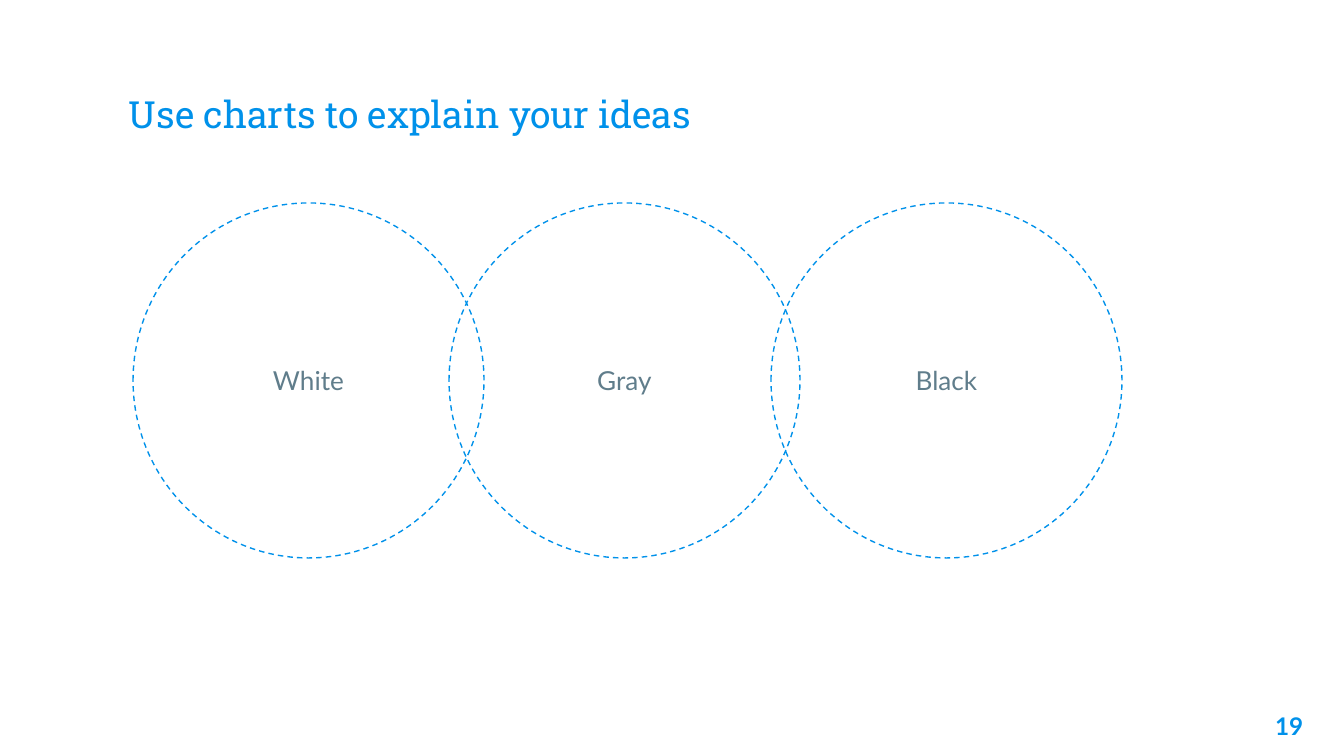
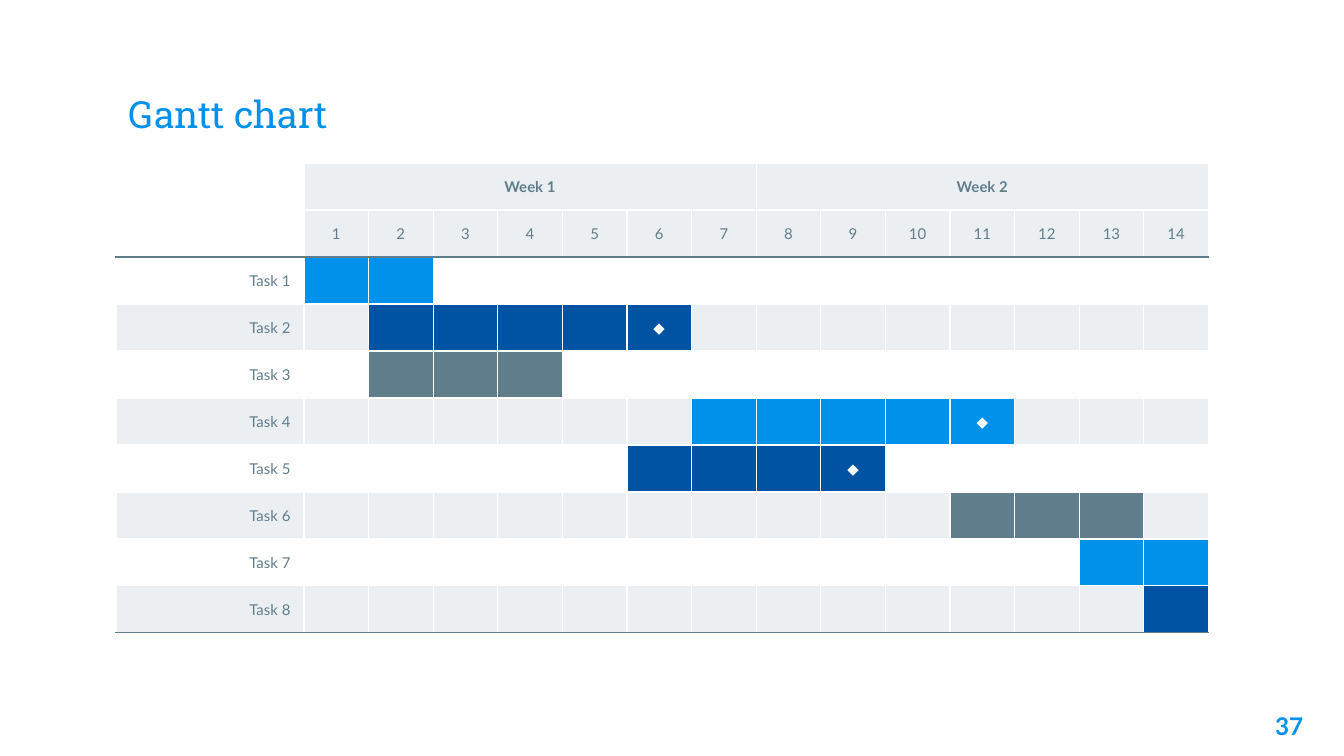
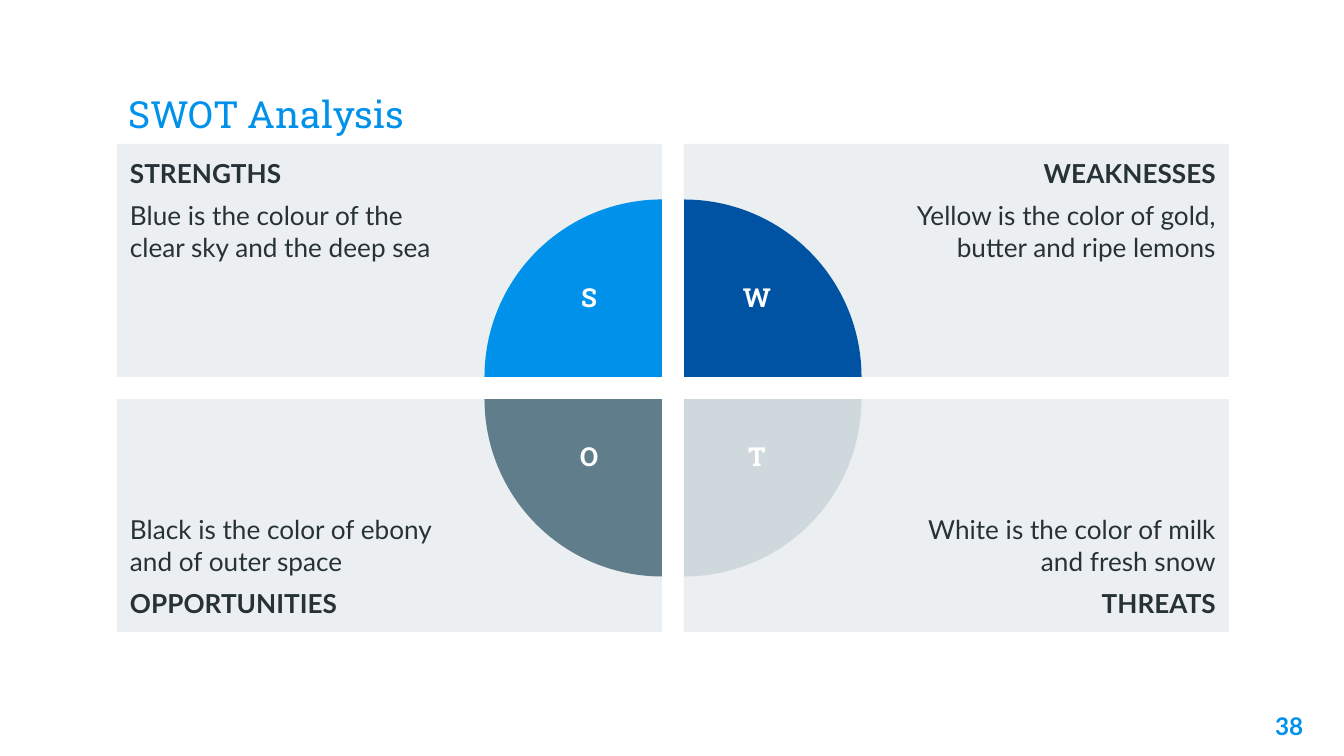
from dataclasses import dataclass
from itertools import product
from lxml.etree import SubElement
from pptx import Presentation
from pptx.dml.color import RGBColor
from pptx.enum.dml import MSO_LINE
from pptx.enum.shapes import MSO_SHAPE
from pptx.enum.text import MSO_ANCHOR, PP_ALIGN
from pptx.oxml.ns import qn
from pptx.util import Emu, Pt


@dataclass(frozen=True)
class Style:
    size: int
    font: str
    color: str
    bold: bool = False


@dataclass(frozen=True)
class Theme:
    blue: str = "0091EA"
    navy: str = "0053A3"
    slate: str = "607D8B"
    silver: str = "CFD8DC"
    pale: str = "ECEFF1"
    white: str = "FFFFFF"
    line: float = 0.75
    title: Style = Style(20, "Roboto Slab", "0091EA")
    number: Style = Style(13, "Lato", "0091EA", True)
    label: Style = Style(14, "Lato", "607D8B")
    body: Style = Style(14, "Lato", "263238")
    heading: Style = Style(14, "Lato", "263238", True)
    letter: Style = Style(14, "Roboto Slab", "FFFFFF", True)
    cell: Style = Style(8, "Lato", "607D8B")
    week: Style = Style(8, "Lato", "607D8B", True)
    milestone: Style = Style(8, "Lato", "FFFFFF")


THEME = Theme()
EMU_PER_PX = 914400 / 134.4
SLIDE_SIZE = (1344, 756)
TITLE_BOX = (116, 46, 1113, 103)
NUMBER_BOX = (1235, 698, 81, 58)
INSETS = (13, 13, 13, 13)
LETTER_INSETS = (13, 7, 13, 7)

CIRCLES = [("White", 133), ("Gray", 449), ("Black", 771)]
CIRCLE_TOP, CIRCLE_WIDTH, CIRCLE_HEIGHT = 203, 351, 355

WEEKS = ["Week 1", "Week 2"]
DAYS_PER_WEEK = 7
TASKS = [
    ("Task 1", 1, 2, THEME.blue, False),
    ("Task 2", 2, 6, THEME.navy, True),
    ("Task 3", 2, 4, THEME.slate, False),
    ("Task 4", 7, 11, THEME.blue, True),
    ("Task 5", 6, 9, THEME.navy, True),
    ("Task 6", 11, 13, THEME.slate, False),
    ("Task 7", 13, 14, THEME.blue, False),
    ("Task 8", 14, 14, THEME.navy, False),
]
GANTT_LEFT, GANTT_TOP = 116, 163
TASK_WIDTH, DAYS_WIDTH, ROW_HEIGHT = 188, 905, 47
HEADER_ROWS = 2

QUADRANTS = [
    ("STRENGTHS", "Blue is the colour of the clear sky and the deep sea",
     THEME.blue, "S", 48, 0, 0, 0),
    ("WEAKNESSES", "Yellow is the color of gold, butter and ripe lemons",
     THEME.navy, "W", 94, 1, 0, 90),
    ("OPPORTUNITIES", "Black is the color of ebony and of outer space",
     THEME.slate, "O", 59, 0, 1, 270),
    ("THREATS", "White is the color of milk and fresh snow",
     THEME.silver, "T", 58, 1, 1, 180),
]
PANEL_LEFT, PANEL_TOP = 117, 144
PANEL_WIDTH, PANEL_HEIGHT, PANEL_GAP = 545, 233, 22
PANEL_SIDE_INSET = 202
PIE_SIZE = 355
LETTER_OFFSET = 73
LETTER_TOPS = (274, 433)
LETTER_HEIGHT = 65


def px(length):
    return Emu(round(length * EMU_PER_PX))


def paint(fill, color):
    if color:
        fill.solid()
        fill.fore_color.rgb = RGBColor.from_string(color)
    else:
        fill.background()


def add_span(para, text, style):
    span = para.add_run()
    span.text = text
    span.font.size = Pt(style.size)
    span.font.name = style.font
    span.font.bold = style.bold
    span.font.color.rgb = RGBColor.from_string(style.color)


def write(frame, lines, align=PP_ALIGN.LEFT, anchor=MSO_ANCHOR.TOP, insets=INSETS):
    frame.word_wrap = True
    frame.vertical_anchor = anchor
    (frame.margin_left, frame.margin_top,
     frame.margin_right, frame.margin_bottom) = map(px, insets)
    for index, (text, style) in enumerate(lines):
        para = frame.add_paragraph() if index else frame.paragraphs[0]
        para.alignment = align
        if index:
            para.space_before = para.space_after = Pt(6)
        add_span(para, text, style)


def add_text(page, bounds, text, style, **layout):
    box = page.shapes.add_textbox(*map(px, bounds))
    write(box.text_frame, [(text, style)], **layout)


def add_figure(page, kind, bounds, color=None):
    figure = page.shapes.add_shape(kind, *map(px, bounds))
    figure.shadow.inherit = False
    paint(figure.fill, color)
    figure.line.fill.background()
    return figure


def add_page(deck, title, number):
    page = deck.slides.add_slide(deck.slide_layouts[6])
    add_text(page, TITLE_BOX, title, THEME.title, anchor=MSO_ANCHOR.BOTTOM)
    add_text(page, NUMBER_BOX, number, THEME.number, align=PP_ALIGN.RIGHT)
    return page


def add_circles(page):
    for name, left in CIRCLES:
        bounds = (left, CIRCLE_TOP, CIRCLE_WIDTH, CIRCLE_HEIGHT)
        circle = add_figure(page, MSO_SHAPE.OVAL, bounds)
        paint(circle.line.fill, THEME.blue)
        circle.line.width = Pt(THEME.line)
        circle.line.dash_style = MSO_LINE.DASH
        write(circle.text_frame, [(name, THEME.label)],
              PP_ALIGN.CENTER, MSO_ANCHOR.MIDDLE)


def add_borders(cell, top, bottom):
    properties = cell._tc.get_or_add_tcPr()
    sides = {"a:lnL": THEME.white, "a:lnR": THEME.white, "a:lnT": top, "a:lnB": bottom}
    for tag, color in sides.items():
        border = SubElement(properties, qn(tag), w=str(Pt(THEME.line)))
        solid = SubElement(border, qn("a:solidFill"))
        SubElement(solid, qn("a:srgbClr"), val=color)


def fill_cell(cell, text, style, align):
    cell.vertical_anchor = MSO_ANCHOR.MIDDLE
    para = cell.text_frame.paragraphs[0]
    para.alignment = align
    if text:
        add_span(para, text, style)
    else:
        SubElement(para._p, qn("a:endParaRPr"), sz=str(style.size * 100))


def gantt_cell(row, day):
    if row < HEADER_ROWS:
        if day == 0:
            return "", THEME.cell, None
        if row == 1:
            return str(day), THEME.cell, THEME.pale
        week, weekday = divmod(day - 1, DAYS_PER_WEEK)
        return ("" if weekday else WEEKS[week]), THEME.week, THEME.pale
    name, first, last, color, has_milestone = TASKS[row - HEADER_ROWS]
    band = THEME.pale if row % 2 else None
    if day == 0:
        return name, THEME.cell, band
    text = "◆" if has_milestone and day == last else ""
    return text, THEME.milestone, color if first <= day <= last else band


def add_gantt(page):
    rows = HEADER_ROWS + len(TASKS)
    days = len(WEEKS) * DAYS_PER_WEEK
    bounds = (GANTT_LEFT, GANTT_TOP, TASK_WIDTH + DAYS_WIDTH, rows * ROW_HEIGHT)
    table = page.shapes.add_table(rows, days + 1, *map(px, bounds)).table
    table.first_row = table.horz_banding = False
    for index, column in enumerate(table.columns):
        column.width = px(DAYS_WIDTH / days if index else TASK_WIDTH)
    for table_row in table.rows:
        table_row.height = px(ROW_HEIGHT)
    ruled = (HEADER_ROWS - 1, rows - 1)
    for row, day in product(range(rows), range(days + 1)):
        cell = table.cell(row, day)
        text, style, color = gantt_cell(row, day)
        add_borders(cell, THEME.slate if row - 1 in ruled else THEME.white,
                    THEME.slate if row in ruled else THEME.white)
        paint(cell.fill, color)
        is_name = row >= HEADER_ROWS and day == 0
        fill_cell(cell, text, style, PP_ALIGN.RIGHT if is_name else PP_ALIGN.CENTER)
    for first_day in range(1, days, DAYS_PER_WEEK):
        table.cell(0, first_day).merge(table.cell(0, first_day + DAYS_PER_WEEK - 1))


def add_panel(page, heading, body, column, row):
    left = PANEL_LEFT + column * (PANEL_WIDTH + PANEL_GAP)
    top = PANEL_TOP + row * (PANEL_HEIGHT + PANEL_GAP)
    panel = add_figure(page, MSO_SHAPE.RECTANGLE,
                       (left, top, PANEL_WIDTH, PANEL_HEIGHT), THEME.pale)
    lines = [(heading, THEME.heading), (body, THEME.body)]
    sides = (PANEL_SIDE_INSET, 13) if column else (13, PANEL_SIDE_INSET)
    write(panel.text_frame, lines[::-1] if row else lines,
          PP_ALIGN.RIGHT if column else PP_ALIGN.LEFT,
          MSO_ANCHOR.BOTTOM if row else MSO_ANCHOR.TOP,
          (sides[0], 13, sides[1], 13))


def add_swot(page):
    for heading, body, _, _, _, column, row, _ in QUADRANTS:
        add_panel(page, heading, body, column, row)
    corners = [(PANEL_LEFT + PANEL_WIDTH + column * PANEL_GAP,
                PANEL_TOP + PANEL_HEIGHT + row * PANEL_GAP)
               for *_, column, row, _ in QUADRANTS]
    for (x, y), (_, _, color, *_, turn) in zip(corners, QUADRANTS):
        pie = add_figure(page, MSO_SHAPE.PIE,
                         (x - PIE_SIZE / 2, y - PIE_SIZE / 2, PIE_SIZE, PIE_SIZE), color)
        pie.adjustments[0], pie.adjustments[1] = 108, 162
        pie.rotation = turn
    for (x, _), (_, _, _, letter, width, column, row, _) in zip(corners, QUADRANTS):
        center = x + (LETTER_OFFSET if column else -LETTER_OFFSET)
        add_text(page, (center - width / 2, LETTER_TOPS[row], width, LETTER_HEIGHT),
                 letter, THEME.letter, align=PP_ALIGN.CENTER, insets=LETTER_INSETS)


def main():
    deck = Presentation()
    deck.slide_width, deck.slide_height = map(px, SLIDE_SIZE)
    add_circles(add_page(deck, "Use charts to explain your ideas", "19"))
    add_gantt(add_page(deck, "Gantt chart", "37"))
    add_swot(add_page(deck, "SWOT Analysis", "38"))
    deck.save("out.pptx")


if __name__ == "__main__":
    main()
